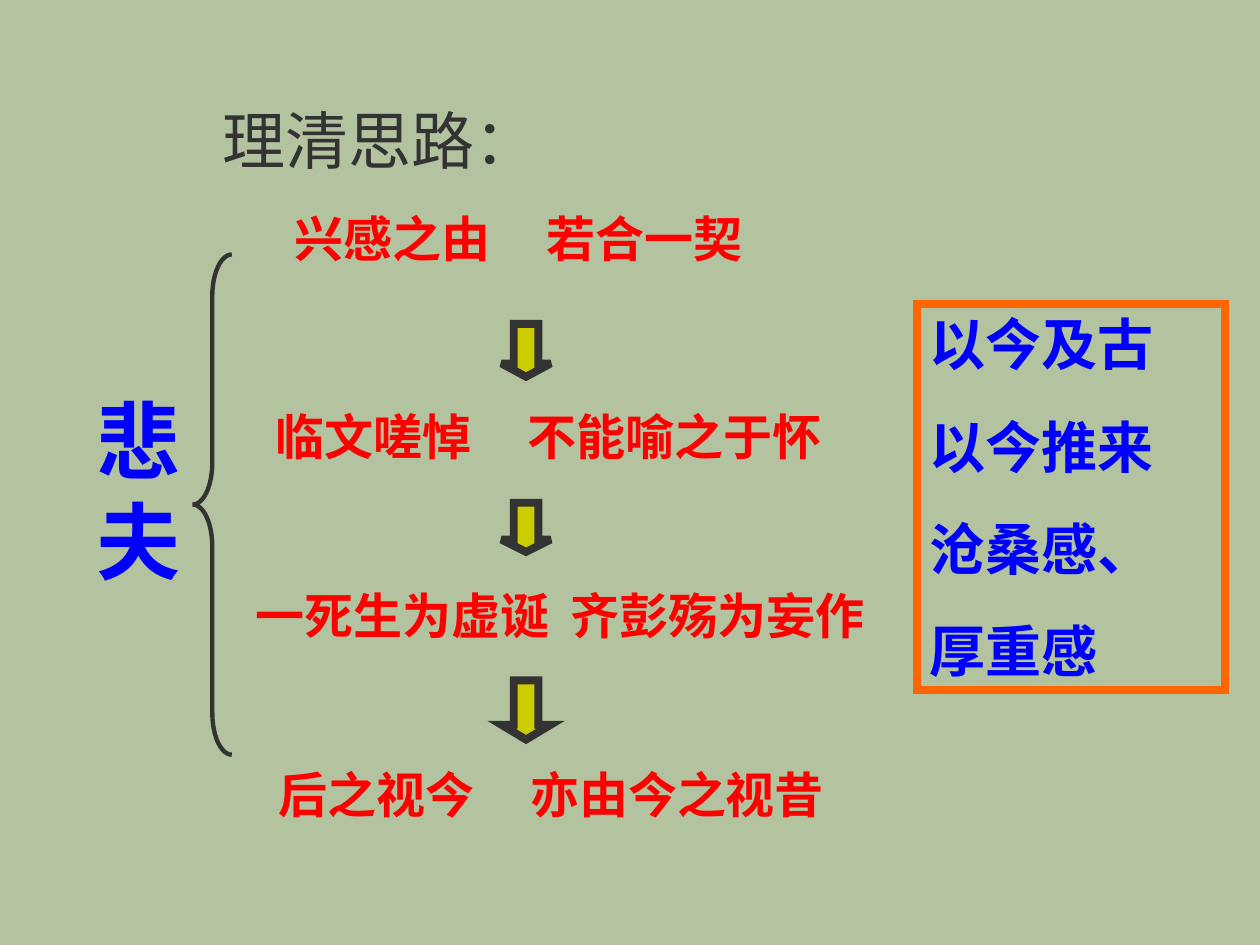
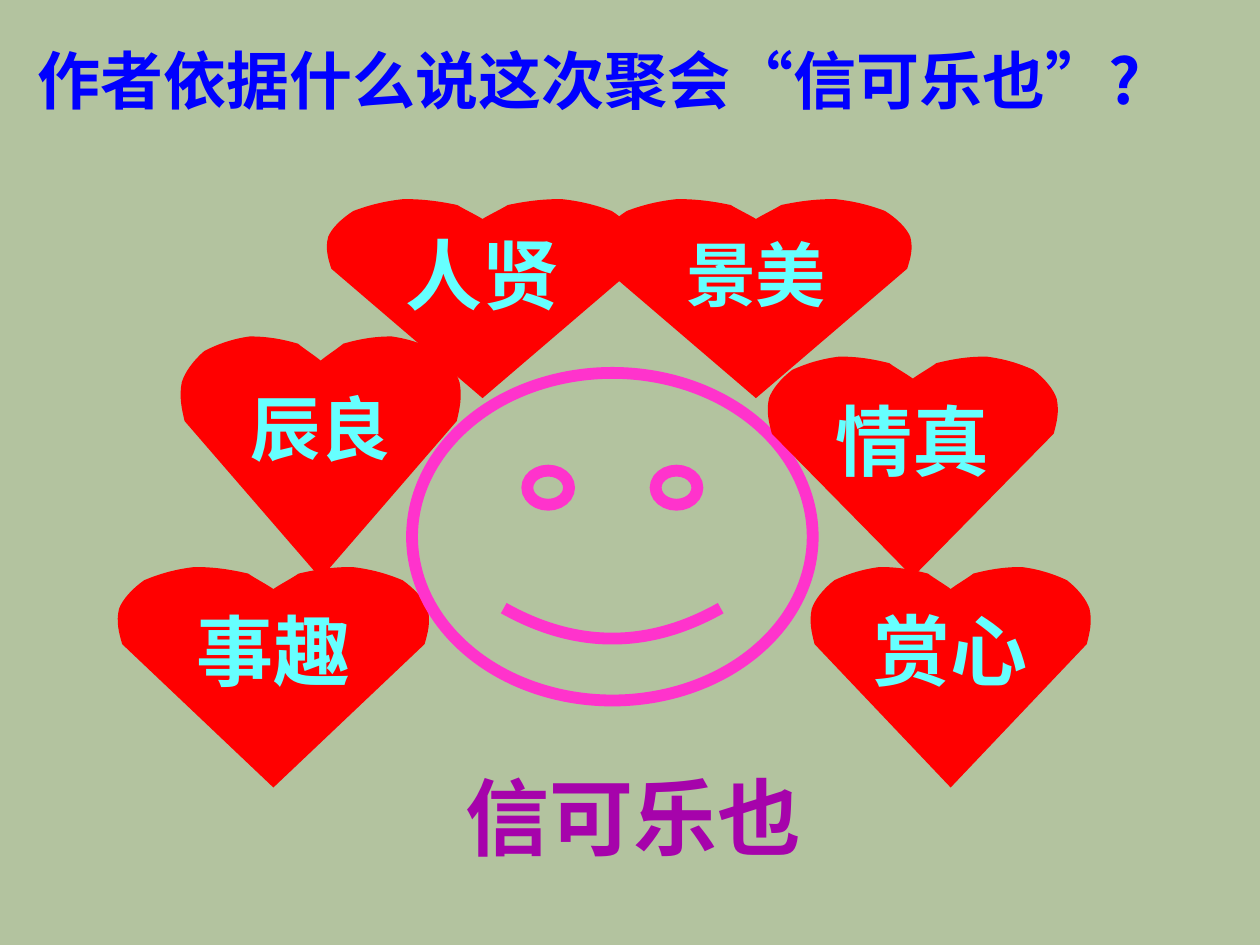
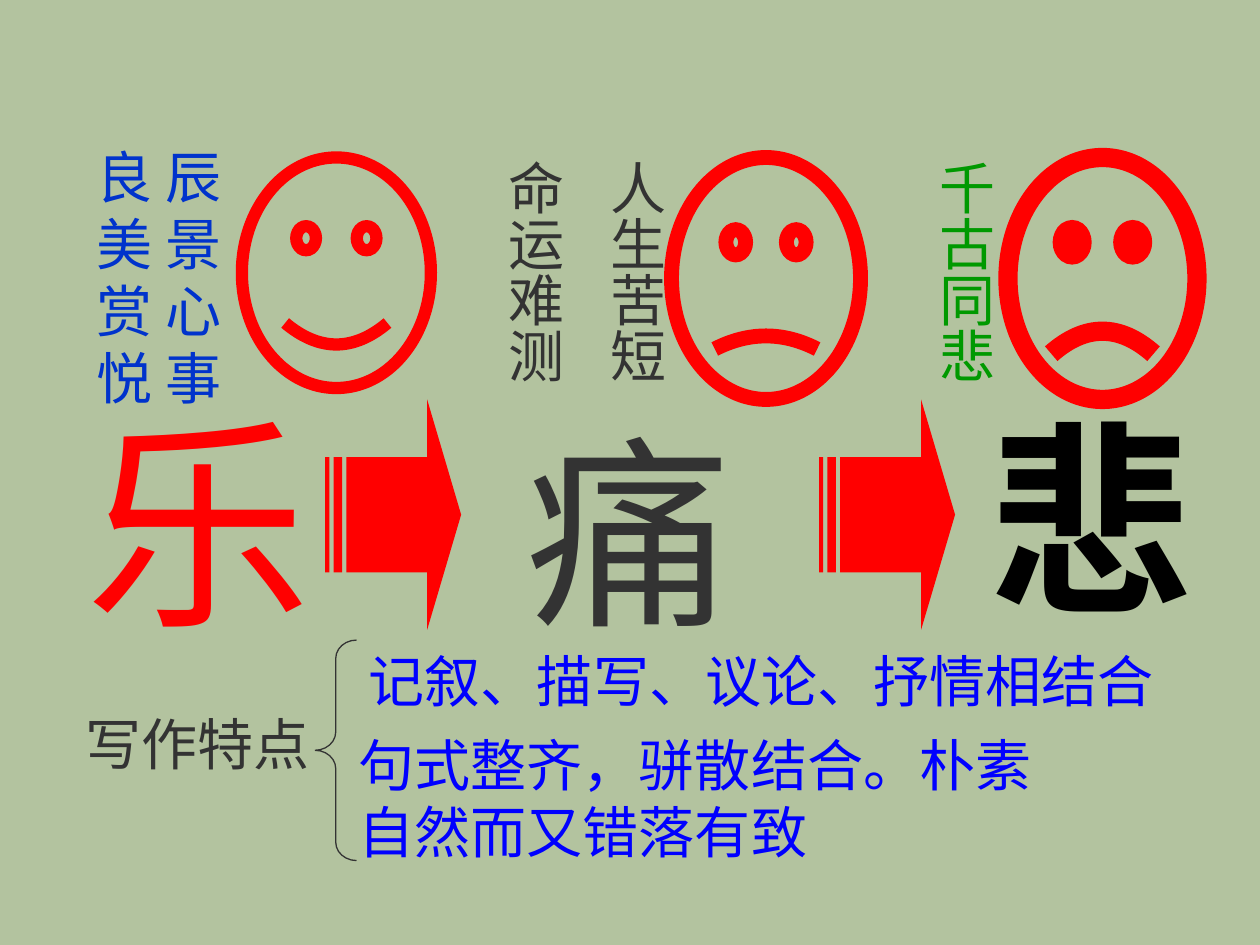
from dataclasses import dataclass

from lxml.etree import SubElement
from pptx import Presentation
from pptx.dml.color import RGBColor
from pptx.enum.lang import MSO_LANGUAGE_ID
from pptx.enum.shapes import MSO_SHAPE
from pptx.enum.text import MSO_ANCHOR, MSO_AUTO_SIZE, PP_ALIGN
from pptx.oxml.ns import qn
from pptx.util import Inches, Pt


@dataclass(frozen=True)
class Theme:
    background: str = "B3C39F"
    ink: str = "333333"
    black: str = "000000"
    blue: str = "0000FF"
    deep_blue: str = "0033CC"
    red: str = "FF0000"
    green: str = "009900"
    orange: str = "FF6600"
    yellow: str = "CCCC00"
    pink: str = "FF33CC"
    purple: str = "A603AB"
    cyan: str = "66FFFF"
    serif: str = "Times New Roman"
    sans: str = "Arial"
    display: str = "Roboto"
    chinese: str = "Noto Sans CJK SC"
    step_size: int = 28
    body_size: int = 32
    title_size: int = 36
    heart_size: int = 44
    accent_size: int = 48
    giant_size: int = 117
    line_height: float = 1.2


THEME = Theme()

# Left half of a heart from notch to lower flank, as fractions of its box.
HEART_NOTCH = (0.5, 0.1)
HEART_CURVES = [
    (0.48, 0.08), (0.44, 0.05), (0.42, 0.03),
    (0.36, 0.01), (0.31, 0), (0.25, 0),
    (0.19, 0.01), (0.14, 0.03), (0.09, 0.06),
    (0.05, 0.1), (0.02, 0.15), (0.01, 0.19),
    (0, 0.25), (0.01, 0.3), (0.02, 0.35),
]


def colour(value):
    return RGBColor.from_string(value)


def add_span(para, text, font, size, color, bold):
    span = para.add_run()
    span.text = text
    span.font.name = font
    span.font.size = Pt(size)
    span.font.bold = bold
    span.font.color.rgb = colour(color)
    span.font.language_id = MSO_LANGUAGE_ID.SIMPLIFIED_CHINESE
    SubElement(span.font._element, qn("a:ea")).set("typeface", THEME.chinese)


def write_text(shape, paragraphs, size=THEME.body_size, color=THEME.ink,
               font=THEME.sans, bold=False, align=PP_ALIGN.LEFT, gap=0,
               tab=None, anchor=MSO_ANCHOR.TOP, wrap=True, vertical=False,
               extra_bottom=0):
    """Fill a shape; a paragraph is a string or a list of (text, font)."""
    frame = shape.text_frame
    frame.word_wrap = wrap
    frame.vertical_anchor = anchor
    across, along = (0.05, 0.1) if vertical else (0.1, 0.05)
    frame.margin_left = frame.margin_right = Inches(across)
    frame.margin_top = Inches(along)
    frame.margin_bottom = Inches(along + extra_bottom)
    if vertical:
        frame._txBody.bodyPr.set("vert", "eaVert")
        frame.auto_size = MSO_AUTO_SIZE.SHAPE_TO_FIT_TEXT
    for index, content in enumerate(paragraphs):
        para = frame.add_paragraph() if index else frame.paragraphs[0]
        para.alignment = align
        para.line_spacing = Pt(round(size * THEME.line_height, 1))
        para.space_before = Pt(gap if index else 0)
        if tab:
            stops = SubElement(para._p.get_or_add_pPr(), qn("a:tabLst"))
            SubElement(stops, qn("a:tab"), pos=str(Inches(tab)), algn="l")
        spans = [(content, font)] if isinstance(content, str) else content
        for text, typeface in spans:
            add_span(para, text, typeface, size, color, bold)


def add_text(page, left, top, width, height, *paragraphs, **style):
    box = page.shapes.add_textbox(
        Inches(left), Inches(top), Inches(width), Inches(height))
    write_text(box, paragraphs, **style)


def paint(shape, fill=None, line=None, weight=1.0):
    shape.shadow.inherit = False
    if fill:
        shape.fill.solid()
        shape.fill.fore_color.rgb = colour(fill)
    else:
        shape.fill.background()
    if line:
        shape.line.color.rgb = colour(line)
        shape.line.width = Pt(weight)
        SubElement(shape.line._get_or_add_ln(), qn("a:miter"), lim="800000")
    else:
        shape.line.fill.background()


def add_figure(page, kind, left, top, width, height, adjust=(), **look):
    figure = page.shapes.add_shape(
        kind, Inches(left), Inches(top), Inches(width), Inches(height))
    for index, value in enumerate(adjust):
        figure.adjustments[index] = value
    paint(figure, **look)
    return figure


def add_brace(page, left, top, width, height, weight):
    add_figure(page, MSO_SHAPE.LEFT_BRACE, left, top, width, height,
               (height / width / 12, 0.5), line=THEME.ink, weight=weight)


def add_smiley(page, left, top, width, height, smile, color, weight):
    add_figure(page, MSO_SHAPE.SMILEY_FACE, left, top, width, height,
               (smile,), line=color, weight=weight)


def bend(segments):
    """Turn each three line segments into one cubic curve."""
    for first in range(0, len(segments), 3):
        curve, *others = segments[first:first + 3]
        curve.tag = qn("a:cubicBezTo")
        for segment in others:
            curve.append(segment[0])
            segment.getparent().remove(segment)


def add_heart(page, left, top, width, height, word, size=THEME.heart_size):
    left_half = [HEART_NOTCH] + HEART_CURVES
    right_half = [(1 - x, y) for x, y in reversed(left_half)]
    points = [(Inches(left + x * width), Inches(top + y * height))
              for x, y in left_half + [(0.5, 1)] + right_half]
    builder = page.shapes.build_freeform(*points[0])
    builder.add_line_segments(points[1:], close=True)
    heart = builder.convert_to_shape()
    segments = list(heart._element.iter(qn("a:lnTo")))
    count = len(HEART_CURVES)
    bend(segments[:count])
    bend(segments[-count:])
    paint(heart, fill=THEME.red)
    write_text(heart, [word], size=size, color=THEME.cyan, font=THEME.serif,
               bold=True, align=PP_ALIGN.CENTER, anchor=MSO_ANCHOR.MIDDLE,
               wrap=False, extra_bottom=height / 4)


def add_page(deck):
    page = deck.slides.add_slide(deck.slide_layouts[6])
    page.background.fill.solid()
    page.background.fill.fore_color.rgb = colour(THEME.background)
    return page


def build_thread_page(deck):
    page = add_page(deck)
    add_text(page, 0.67, 3.04, 1.42, 1.7, "悲夫", size=THEME.accent_size,
             font=THEME.serif, color=THEME.blue, bold=True)
    steps = [
        (2.24, 1.61, 4.92, "兴感之由\t若合一契", THEME.serif, 2),
        (2.09, 3.18, 4.85, "临文嗟悼\t不能喻之于怀", THEME.serif, 2),
        (1.93, 4.6, 5.57, "一死生为虚诞\t齐彭殇为妄作", THEME.chinese, 2.5),
        (2.11, 6.02, 4.62, "后之视今\t亦由今之视昔", THEME.serif, 2),
    ]
    for left, top, width, step, font, tab in steps:
        add_text(page, left, top, width, 0.57, step, size=THEME.step_size,
                 font=font, color=THEME.red, bold=True, tab=tab)
    add_brace(page, 1.53, 2.02, 0.31, 3.97, 2.5)
    for top, height, head in [(2.57, 0.42, 0.27), (3.99, 0.39, 0.25), (5.4, 0.47, 0.3)]:
        add_figure(page, MSO_SHAPE.DOWN_ARROW, 3.98, top, 0.39, height,
                   (0.5, head), fill=THEME.yellow, line=THEME.ink, weight=4.5)
    summary = add_figure(page, MSO_SHAPE.RECTANGLE, 7.28, 2.41, 2.44, 3.07,
                         line=THEME.orange, weight=4.5)
    write_text(summary, ["以今及古", "以今推来", "沧桑感、", "厚重感"],
               color=THEME.blue, bold=True, gap=20)
    add_text(page, 1.67, 0.76, 4.98, 0.7, "理清思路：",
             size=THEME.title_size, font=THEME.serif)


def build_joy_page(deck):
    page = add_page(deck)
    add_heart(page, 2.58, 1.58, 2.5, 1.58, "人贤")
    add_heart(page, 1.42, 2.67, 2.25, 1.92, "辰良", size=40)
    add_heart(page, 0.92, 4.5, 2.5, 1.75, "事趣")
    add_heart(page, 6.42, 4.5, 2.25, 1.75, "赏心")
    add_smiley(page, 3.27, 2.96, 3.18, 2.6, 0.093, THEME.pink, 6.75)
    question = [("作者依据什么说这次聚会", THEME.chinese), ("“", THEME.display),
                ("信可乐也", THEME.chinese), ("”", THEME.display),
                ("?", THEME.chinese)]
    add_text(page, 0.2, 0.28, 9.8, 0.7, question, size=THEME.title_size,
             color=THEME.blue, bold=True)
    add_heart(page, 4.75, 1.58, 2.5, 1.58, "景美", size=40)
    add_text(page, 3.03, 6.03, 4, 1.1, "信可乐也", size=THEME.accent_size,
             font=THEME.chinese, color=THEME.purple, bold=True,
             align=PP_ALIGN.CENTER)
    add_heart(page, 6.08, 2.83, 2.33, 1.75, "情真")


def build_mood_page(deck):
    page = add_page(deck)
    upright = dict(vertical=True, align=PP_ALIGN.CENTER, gap=20)
    add_text(page, 7.25, 1.17, 0.73, 2.42, "千古同悲", color=THEME.green, **upright)
    add_text(page, 3.83, 1.17, 1.54, 2.25, "人生苦短", "命运难测", **upright)
    add_text(page, 0.67, 1.08, 1.25, 2.24, "良 辰", "美 景", "赏 心", "悦 事",
             color=THEME.deep_blue)

    for left, height, smile, weight in [(1.92, 1.83, 0.093, 7),
                                        (5.33, 1.92, -0.027, 8.5),
                                        (8, 1.92, -0.047, 11)]:
        add_smiley(page, left, 1.25, 1.5, height, smile, THEME.red, weight)

    giant = dict(size=THEME.giant_size, font=THEME.display)
    add_text(page, 0.58, 3, 2, 2.25, "乐", size=129, font=THEME.display,
             color=THEME.red)
    add_text(page, 4.08, 3.17, 1.92, 2.05, "痛", **giant)
    add_text(page, 7.75, 3.08, 1.82, 2.05, "悲", color=THEME.black, bold=True,
             align=PP_ALIGN.CENTER, **giant)
    for left in (2.58, 6.5):
        add_figure(page, MSO_SHAPE.STRIPED_RIGHT_ARROW, left, 3.17, 1.08, 1.83,
                   (0.5, 0.25), fill=THEME.red)

    add_text(page, 0.58, 5.58, 2.08, 0.64, "写作特点")
    add_brace(page, 2.5, 5.08, 0.33, 1.75, 0.75)
    add_text(page, 2.83, 5.08, 6.58, 0.64, "记叙、描写、议论、抒情相结合",
             color=THEME.blue)
    add_text(page, 2.75, 5.75, 5.83, 1.17,
             "句式整齐，骈散结合。朴素自然而又错落有致",
             font=THEME.chinese, color=THEME.blue)


def main():
    deck = Presentation()
    deck.slide_width = Inches(10)
    deck.slide_height = Inches(7.5)
    build_thread_page(deck)
    build_joy_page(deck)
    build_mood_page(deck)
    deck.save("out.pptx")


if __name__ == "__main__":
    main()
